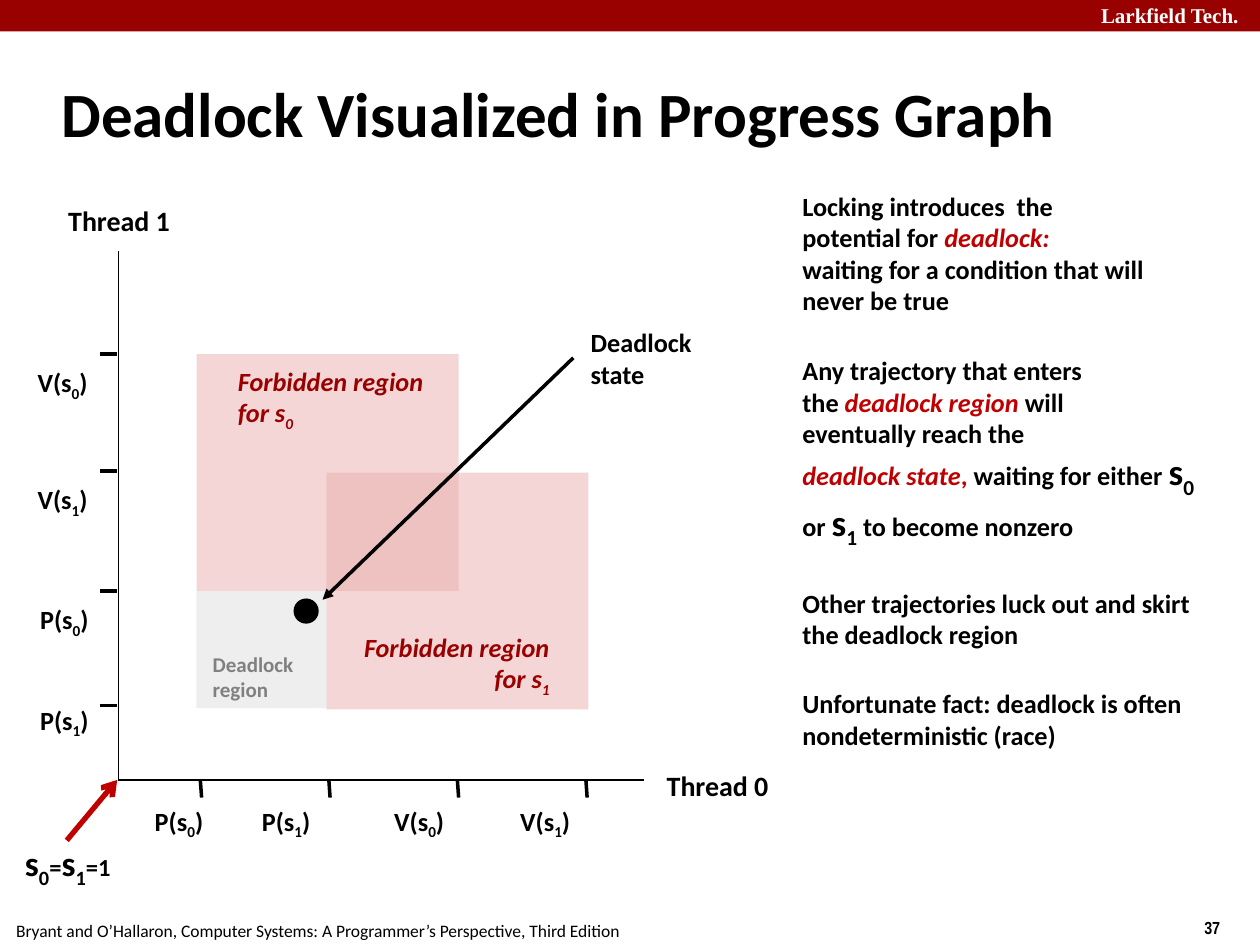
"""Build the slide on deadlock in a progress graph."""
from dataclasses import dataclass
from typing import Optional

from lxml import etree
from pptx import Presentation
from pptx import util as u
from pptx.dml.color import RGBColor
from pptx.enum import shapes, text
from pptx.oxml.ns import qn

BLACK = RGBColor(0x00, 0x00, 0x00)
WHITE = RGBColor(0xFF, 0xFF, 0xFF)
MAROON = RGBColor(0x99, 0x00, 0x00)
RED = RGBColor(0xC0, 0x00, 0x00)
PINK = RGBColor(0xEB, 0xAF, 0xAF)
SILVER = RGBColor(0xCC, 0xCC, 0xCC)
GRAY = RGBColor(0x80, 0x80, 0x80)
LEFT, MID, RIGHT = text.PP_ALIGN.LEFT, text.PP_ALIGN.CENTER, text.PP_ALIGN.RIGHT
RECT, OVAL = shapes.MSO_SHAPE.RECTANGLE, shapes.MSO_SHAPE.OVAL


@dataclass
class Run:
    words: str
    size: float = 15
    color: RGBColor = BLACK
    bold: bool = True
    slant: bool = False
    sub: bool = False
    font: str = "Calibri"


@dataclass
class Para:
    runs: list[Run]
    gap: float = 0


@dataclass
class Label:
    left: float
    top: float
    width: float
    height: float
    paras: list[Para]
    align: text.PP_ALIGN = LEFT
    inset: float = 0.05
    middle: bool = True


@dataclass
class Block:
    left: float
    top: float
    width: float
    height: float
    color: RGBColor
    alpha: int = 100
    kind: shapes.MSO_SHAPE = RECT


@dataclass
class Line:
    start: tuple[float, float]
    end: tuple[float, float]
    width: float = 2
    color: RGBColor = BLACK
    head: Optional[str] = None


def add_label(slide, item: Label) -> None:
    box = slide.shapes.add_textbox(*map(u.Inches, (item.left, item.top, item.width, item.height)))
    frame = box.text_frame
    frame.word_wrap = True
    frame.auto_size = text.MSO_AUTO_SIZE.SHAPE_TO_FIT_TEXT
    frame.margin_top = frame.margin_bottom = u.Inches(item.inset)
    frame.vertical_anchor = text.MSO_ANCHOR.MIDDLE if item.middle else text.MSO_ANCHOR.TOP
    for i, para in enumerate(item.paras):
        line = frame.add_paragraph() if i else frame.paragraphs[0]
        line.alignment = item.align
        line.space_before = u.Pt(para.gap)
        for part in para.runs:
            run = line.add_run()
            run.text = part.words
            font = run.font
            font.name, font.size = part.font, u.Pt(part.size)
            font.bold, font.italic = part.bold, part.slant
            font.color.rgb = part.color
            if part.sub:
                run._r.get_or_add_rPr().set("baseline", "-25000")


def add_block(slide, item: Block) -> None:
    area = slide.shapes.add_shape(
        item.kind, *map(u.Inches, (item.left, item.top, item.width, item.height)))
    area.shadow.inherit = False
    area.line.fill.background()
    area.fill.solid()
    area.fill.fore_color.rgb = item.color
    if item.alpha < 100:
        tone = area._element.spPr.find(qn("a:solidFill"))[0]
        etree.SubElement(tone, qn("a:alpha"), val=str(item.alpha * 1000))


def add_line(slide, item: Line) -> None:
    link = slide.shapes.add_connector(
        shapes.MSO_CONNECTOR.STRAIGHT, *map(u.Inches, item.start + item.end))
    link.line.width = u.Pt(item.width)
    link.line.color.rgb = item.color
    if item.head:
        etree.SubElement(link.line._get_or_add_ln(), qn("a:tailEnd"), type=item.head)
    etree.SubElement(link._element.spPr, qn("a:effectLst"))


def plain(words: str, gap: float = 0, **style) -> Para:
    return Para([Run(words, **style)], gap)


def red(words: str, slant: bool = True) -> Run:
    return Run(words, color=RED, slant=slant)


def sema(digit: str, size: float) -> list[Run]:
    return [Run("s", size), Run(digit, size, sub=True)]


def step(left: float, top: float, name: str, digit: str) -> Label:
    runs = [Run(f"{name}(s"), Run(digit, sub=True), Run(")")]
    return Label(left, top, 0.7, 0.38, [Para(runs, 9)])


def region(left: float, top: float, digit: str, align: text.PP_ALIGN) -> Label:
    style = dict(color=MAROON, slant=True)
    last = Para([Run("for s", **style), Run(digit, sub=True, **style)])
    return Label(left, top, 1.77, 0.63, [plain("Forbidden region", **style), last],
                 align, middle=False)


NOTES = [
    plain("Locking introduces  the"),
    Para([Run("potential for "), red("deadlock:")]),
    plain("waiting for a condition that will never be true"),
    plain("Any trajectory that enters", 22),
    Para([Run("the "), red("deadlock region "), Run("will")]),
    plain("eventually reach the"),
    Para([red("deadlock state"), red(", ", False), Run("waiting for either "),
          *sema("0", 21), Run(" or "), *sema("1", 21), Run(" to become nonzero")]),
    plain("Other trajectories luck out and skirt the deadlock region", 21.5),
    plain("Unfortunate fact: deadlock is often nondeterministic (race)", 21.5),
]
ORIGIN = (0.94, 6.19)
COLS = [("P", "0", 1.13), ("P", "1", 1.98), ("V", "0", 3.03), ("V", "1", 4.03)]
ROWS = [("V", "0", 2.81, 2.86), ("V", "1", 3.74, 3.79),
        ("P", "0", 4.69, 4.74), ("P", "1", 5.6, 5.54)]


def main() -> None:
    deck = Presentation()
    deck.slide_width, deck.slide_height = u.Inches(10), u.Inches(7.5)
    slide = deck.slides.add_slide(deck.slide_layouts[6])

    add_block(slide, Block(0, 0, 10, 0.25, MAROON))
    add_block(slide, Block(1.56, 4.69, 1.03, 0.93, SILVER, 32))

    add_line(slide, Line(ORIGIN, (5.11, 6.19), 1))
    add_line(slide, Line(ORIGIN, (0.94, 1.99), 1))
    for i, (name, digit, left) in enumerate(COLS):
        tick = 1.59 + 1.02 * i
        add_line(slide, Line((tick, 6.19), (tick + 0.01, 6.33)))
        add_label(slide, step(left, 6.34, name, digit))
    for name, digit, tick, top in ROWS:
        add_line(slide, Line((0.79, tick), (0.93, tick)))
        add_label(slide, step(0.2 if name == "V" else 0.22, top, name, digit))

    for left, top in ((1.56, 2.81), (2.59, 3.75)):
        add_block(slide, Block(left, top, 2.08, 1.88, PINK, 50))
    add_block(slide, Block(2.33, 4.75, 0.2, 0.2, BLACK, kind=OVAL))

    labels = [
        Label(8.64, -0.03, 1.36, 0.3,
              [plain("Larkfield Tech.", size=12, color=WHITE, font="Times New Roman")],
              middle=False),
        Label(9.46, 7.23, 0.54, 0.27, [plain("37", size=10, font="Arial Narrow")], middle=False),
        Label(0.03, 7.25, 5.3, 0.25,
              [plain("Bryant and O’Hallaron, Computer Systems: A Programmer’s Perspective, "
                     "Third Edition", size=10, bold=False)], middle=False),
        Label(0.39, 0.48, 8.3, 0.83, [plain("Deadlock Visualized in Progress Graph", size=36)]),
        Label(6.27, 1.51, 3.4, 4.45, NOTES, inset=0, middle=False),
        Label(5.14, 6.05, 1.11, 0.37, [plain("Thread 0", size=16)], MID),
        Label(0.39, 1.56, 1.11, 0.37, [plain("Thread 1", size=16)], MID),
        region(1.79, 2.85, "0", LEFT),
        region(2.69, 4.96, "1", RIGHT),
        Label(4.59, 2.59, 1.1, 0.5, [plain("Deadlock"), plain("state")], inset=0),
        Label(1.59, 5.17, 0.94, 0.4,
              [plain(word, size=12, color=GRAY) for word in ("Deadlock", "region")], inset=0),
        Label(0.1, 6.68, 1, 0.38,
              [Para([*sema("0", 20), Run("=", 14), *sema("1", 20), Run("=1", 14)])], inset=0),
    ]
    for label in labels:
        add_label(slide, label)
    add_line(slide, Line((4.55, 2.84), (2.56, 4.76), head="triangle"))
    add_line(slide, Line((0.53, 6.67), (0.93, 6.19), 3, RED, "arrow"))
    deck.save("out.pptx")


if __name__ == "__main__":
    main()
